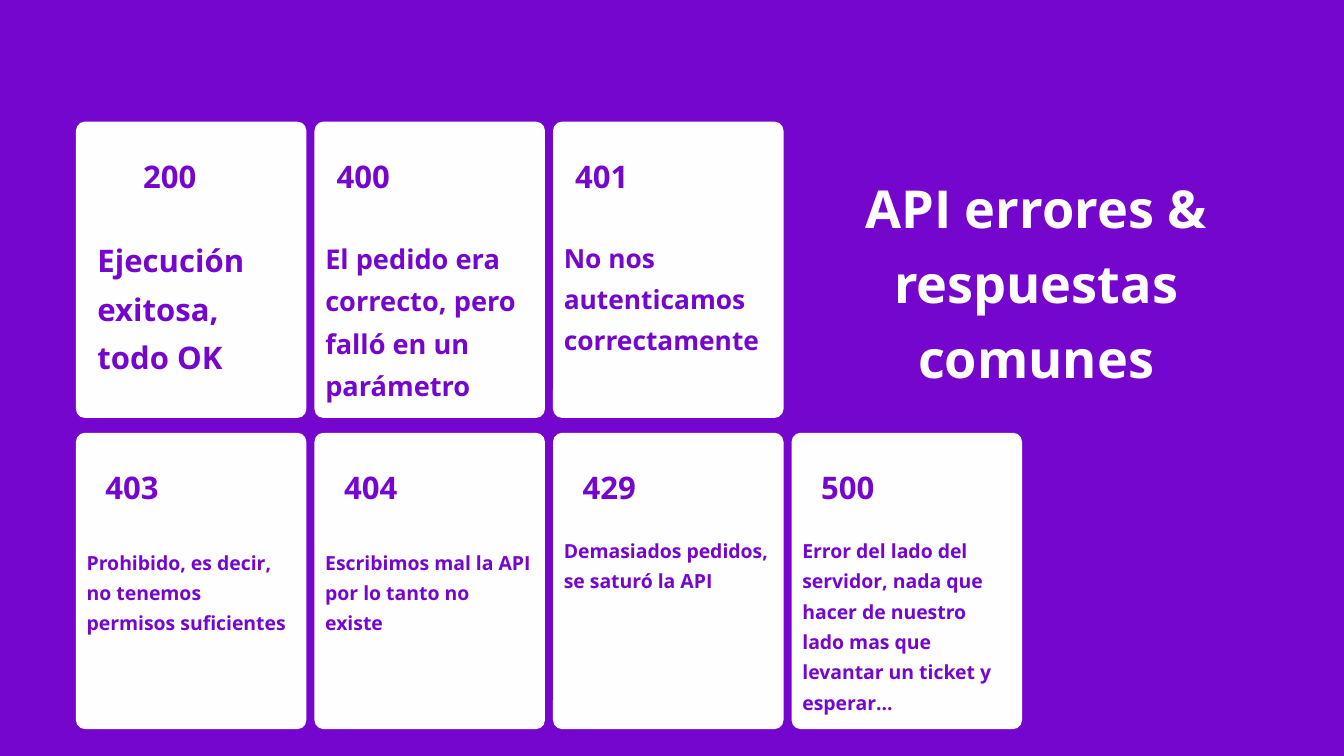
from dataclasses import dataclass

from pptx import Presentation
from pptx.dml.color import RGBColor
from pptx.enum.shapes import MSO_SHAPE as Preset
from pptx.enum.text import MSO_AUTO_SIZE as AutoSize, PP_ALIGN as Align
from pptx.slide import Slide
from pptx.util import Inches, Pt


@dataclass(frozen=True)
class Theme:
    font: str = "Open Sans"
    purple: RGBColor = RGBColor(0x75, 0x06, 0xCE)
    card: RGBColor = RGBColor(0xFF, 0xFE, 0xFF)
    white: RGBColor = RGBColor(0xFF, 0xFF, 0xFF)
    title: float = 56
    large: float = 33.3
    medium: float = 29.1
    compact: float = 28.2
    small: float = 20.8


@dataclass(frozen=True)
class Grid:
    """Card grid, in inches."""
    left: float = 1.13
    top: float = 1.81
    width: float = 3.43
    height: float = 4.41
    column_gap: float = 0.12
    row_gap: float = 0.22
    radius: float = 0.135

    def corner(self, column: int, row: int) -> tuple[float, float]:
        return (self.left + column * (self.width + self.column_gap),
                self.top + row * (self.height + self.row_gap))


@dataclass(frozen=True)
class StatusCard:
    """One API response; insets are measured from the card's corner."""
    column: int
    row: int
    code: str
    meaning: str
    size: float
    lines: int
    code_inset: float = 0.44
    meaning_inset: float = 0.16
    meaning_drop: float = 1.65
    meaning_width: float = 3.07


THEME = Theme()
GRID = Grid()
CODE_DROP = 0.22
CODE_WIDTH = 1.27

CARDS = [
    StatusCard(0, 0, "200", "Ejecución exitosa, todo OK", THEME.large, 3,
               code_inset=1, meaning_inset=0.32, meaning_drop=1.62, meaning_width=2.75),
    StatusCard(1, 0, "400", "El pedido era correcto, pero falló en un parámetro",
               THEME.medium, 4, code_inset=0.33, meaning_width=3.11),
    StatusCard(2, 0, "401", "No nos autenticamos correctamente",
               THEME.compact, 3, code_inset=0.33, meaning_width=3.1),
    StatusCard(0, 1, "403", "Prohibido, es decir, no tenemos permisos suficientes",
               THEME.small, 3),
    StatusCard(1, 1, "404", "Escribimos mal la API por lo tanto no existe",
               THEME.small, 3),
    StatusCard(2, 1, "429", "Demasiados pedidos, se saturó la API",
               THEME.small, 2, meaning_drop=1.48),
    StatusCard(3, 1, "500", "Error del lado del servidor, nada que hacer de nuestro "
               "lado mas que levantar un ticket y esperar...",
               THEME.small, 6, meaning_drop=1.48),
]


def add_text(slide: Slide, wording: str, left: float, top: float, width: float,
             size: float, spacing: float, lines: int = 1,
             color: RGBColor = THEME.purple, align: Align = Align.LEFT) -> None:
    height = lines * size * spacing / 72
    box = slide.shapes.add_textbox(Inches(left), Inches(top), Inches(width), Inches(height))
    frame = box.text_frame
    frame.margin_left = frame.margin_top = frame.margin_right = frame.margin_bottom = 0
    frame.word_wrap = True
    frame.auto_size = AutoSize.SHAPE_TO_FIT_TEXT
    paragraph = frame.paragraphs[0]
    paragraph.alignment = align
    paragraph.line_spacing = spacing
    run = paragraph.add_run()
    run.text = wording
    run.font.name = THEME.font
    run.font.size = Pt(size)
    run.font.bold = True
    run.font.color.rgb = color


def add_card(slide: Slide, card: StatusCard) -> None:
    left, top = GRID.corner(card.column, card.row)
    panel = slide.shapes.add_shape(Preset.ROUNDED_RECTANGLE, Inches(left), Inches(top),
                                   Inches(GRID.width), Inches(GRID.height))
    panel.adjustments[0] = GRID.radius / GRID.width
    panel.shadow.inherit = False
    panel.fill.solid()
    panel.fill.fore_color.rgb = THEME.card
    panel.line.fill.background()
    add_text(slide, card.meaning, left + card.meaning_inset, top + card.meaning_drop,
             card.meaning_width, card.size, 1.3, card.lines)
    add_text(slide, card.code, left + card.code_inset, top + CODE_DROP,
             CODE_WIDTH, THEME.large, 1.57)


def main() -> None:
    deck = Presentation()
    deck.slide_width, deck.slide_height = Inches(20), Inches(11.25)
    slide = deck.slides.add_slide(deck.slide_layouts[6])
    slide.background.fill.solid()
    slide.background.fill.fore_color.rgb = THEME.purple
    for card in CARDS:
        add_card(slide, card)
    add_text(slide, "API errores & respuestas comunes", 11.97, 2.43, 6.9,
             THEME.title, 1.2, 3, THEME.white, Align.CENTER)
    deck.save("out.pptx")


if __name__ == "__main__":
    main()
